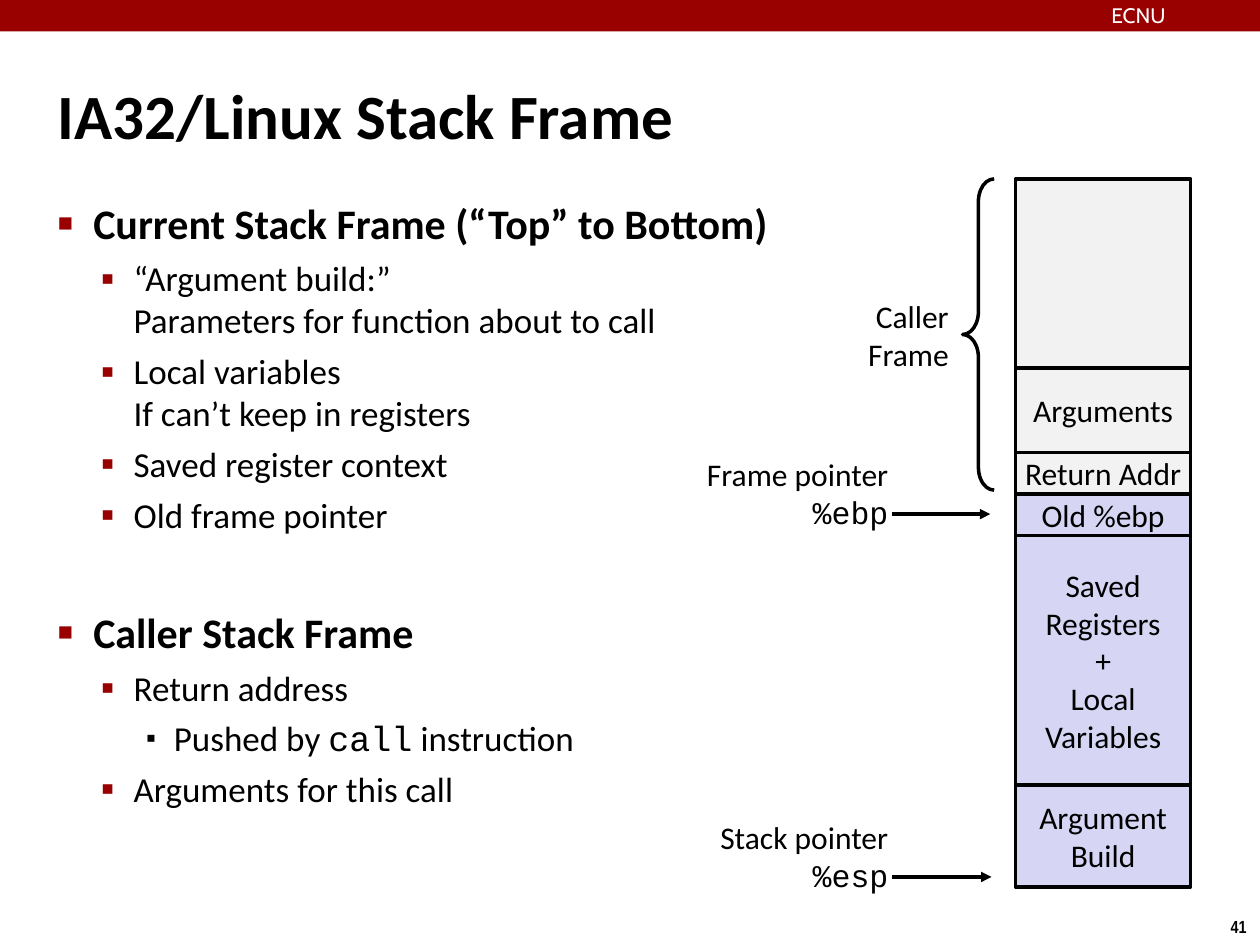
from lxml.etree import SubElement
from pptx import Presentation
from pptx.dml.color import RGBColor
from pptx.enum.shapes import MSO_CONNECTOR, MSO_SHAPE
from pptx.enum.text import MSO_ANCHOR, PP_ALIGN
from pptx.oxml.ns import qn
from pptx.util import Inches, Pt

COLORS = {"red": "990000", "black": "000000", "white": "FFFFFF",
          "gray": "F2F2F2", "lilac": "D6D6F4"}
SANS, MONO = "Calibri", "Courier New"

# Per level: left indent, hanging, bullet, its colour and size %, text size, space before
LEVELS = [(0.28, 0.28, "■", "red", 60, 24, 6),
          (0.6, 0.26, "▪", "red", 110, 20, 5),
          (0.92, 0.22, "▪", "black", 80, 20, 5)]
OUTLINE = [
    (0, "Current Stack Frame (“Top” to Bottom)"),
    (1, "“Argument build:”\nParameters for function about to call"),
    (1, "Local variables\nIf can’t keep in registers"),
    (1, "Saved register context"),
    (1, "Old frame pointer"),
    (0, "Caller Stack Frame"),
    (1, "Return address"),
    (2, "Pushed by `call` instruction"),
    (1, "Arguments for this call"),
]
GROUP_GAP = 41
STACK = [("", 1.5, "gray"), ("Arguments", 0.67, "gray"),
         ("Return Addr", 0.33, "gray"), ("Old %ebp", 0.33, "lilac"),
         ("Saved\nRegisters\n+\nLocal\nVariables", 1.98, "lilac"),
         ("Argument\nBuild", 0.81, "lilac")]


def color(name):
    return RGBColor.from_string(COLORS[name])


def style(para, size, name="black", font=SANS, bold=False):
    for run in para.runs:
        run.font.size, run.font.bold = Pt(size), bold
        run.font.name, run.font.color.rgb = font, color(name)


def setup(frame, inset=0.04, anchor=MSO_ANCHOR.TOP):
    frame.word_wrap = True
    frame.vertical_anchor = anchor
    frame.margin_left = frame.margin_right = Inches(inset)
    frame.margin_top = frame.margin_bottom = Inches(inset)


def add_text(slide, box, text, size=18, align=PP_ALIGN.LEFT, inset=0.04, **look):
    frame = slide.shapes.add_textbox(*map(Inches, box)).text_frame
    setup(frame, inset)
    frame.text = text
    for para in frame.paragraphs:
        para.alignment = align
        style(para, size, **look)
    return frame


def add_form(slide, kind, box, fill=None, line=None):
    form = slide.shapes.add_shape(kind, *map(Inches, box))
    form.shadow.inherit = False
    if fill:
        form.fill.solid()
        form.fill.fore_color.rgb = color(fill)
    else:
        form.fill.background()
    if line:
        form.line.color.rgb = color(line)
        form.line.width = Pt(2)
    else:
        form.line.fill.background()
    return form


def add_arrow(slide, left, top, width):
    arrow = slide.shapes.add_connector(
        MSO_CONNECTOR.STRAIGHT, Inches(left), Inches(top),
        Inches(left + width), Inches(top))
    arrow.line.color.rgb = color("black")
    arrow.line.width = Pt(2)
    SubElement(arrow.line._get_or_add_ln(), qn("a:tailEnd"), type="triangle")
    SubElement(arrow._element.spPr, qn("a:effectLst"))


def add_bullet(para, level):
    left, hang, char, name, scale, _, _ = LEVELS[level]
    props = para._p.get_or_add_pPr()
    props.set("marL", str(Inches(left)))
    props.set("indent", str(-Inches(hang)))
    tint = SubElement(props, qn("a:buClr"))
    SubElement(tint, qn("a:srgbClr"), val=COLORS[name])
    SubElement(props, qn("a:buSzPct"), val=str(scale * 1000))
    SubElement(props, qn("a:buFont"), typeface="Arial")
    SubElement(props, qn("a:buChar"), char=char)


def add_header(slide, box):
    left, top, width, height = box
    add_form(slide, MSO_SHAPE.RECTANGLE, box, "red")
    add_text(slide, (left + 8.82, top + 0.02, 1.1, height - 0.06), "ECNU", 12,
             inset=0, name="white", font="Cabin")


def add_title(slide, box, text):
    title = slide.shapes.title
    title.left, title.top, title.width, title.height = map(Inches, box)
    setup(title.text_frame, anchor=MSO_ANCHOR.MIDDLE)
    title.text_frame.text = text
    para = title.text_frame.paragraphs[0]
    para.alignment = PP_ALIGN.LEFT
    style(para, 36, bold=True)


def add_outline(slide, box):
    """Bulleted list; text between backticks is set in the code font."""
    frame = add_text(slide, box, "")
    for i, (level, text) in enumerate(OUTLINE):
        para = frame.add_paragraph() if i else frame.paragraphs[0]
        add_bullet(para, level)
        para.level = level
        size, space = LEVELS[level][5:]
        if i:
            para.space_before = Pt(space if level else GROUP_GAP)
        para.text = text.replace("`", "")
        if "`" in text:
            para.text = ""
            for part in text.split("`"):
                para.add_run().text = part
        style(para, size, bold=level == 0)
        if "`" in text:
            for run in para.runs[1::2]:
                run.font.name = MONO


def add_stack(slide, box):
    left, top, width, _ = box
    for text, height, fill in STACK:
        cell = add_form(slide, MSO_SHAPE.RECTANGLE, (left, top, width, height),
                        fill, "black")
        setup(cell.text_frame, 0, MSO_ANCHOR.MIDDLE)
        if text:
            cell.text_frame.text = text
        for para in cell.text_frame.paragraphs:
            para.alignment = PP_ALIGN.CENTER
            style(para, 18)
        top += height


def add_caller(slide, box):
    left, top, width, height = box
    add_text(slide, (left, top + 0.9, 0.95, 0.69), "Caller\nFrame",
             align=PP_ALIGN.RIGHT)
    brace = add_form(slide, MSO_SHAPE.LEFT_BRACE,
                     (left + width - 0.25, top, 0.25, height), line="black")
    brace.adjustments[0] = 0.72


def add_pointer(slide, box, text):
    left, top, width, height = box
    frame = add_text(slide, (left, top, 1.7, height), text,
                     align=PP_ALIGN.RIGHT)
    style(frame.paragraphs[1], 18, font=MONO)
    add_arrow(slide, left + 1.69, top + 0.51, width - 1.69)


def main():
    deck = Presentation()
    deck.slide_width, deck.slide_height = Inches(10), Inches(7.5)
    slide = deck.slides.add_slide(deck.slide_layouts[5])
    add_header(slide, (0, 0, 10, 0.25))
    add_title(slide, (0.42, 0.28, 9.17, 1.25), "IA32/Linux Stack Frame")
    add_outline(slide, (0.42, 1.53, 5.88, 5.94))
    add_stack(slide, (8.06, 1.42, 1.39, 5.62))
    add_caller(slide, (6.62, 1.42, 1.27, 2.47))
    add_pointer(slide, (5.39, 3.57, 2.47, 0.67), "Frame pointer\n%ebp")
    add_pointer(slide, (5.39, 6.45, 2.48, 0.67), "Stack pointer\n%esp")
    add_text(slide, (9.66, 7.23, 0.34, 0.27), "41", 10, PP_ALIGN.CENTER,
             font="Arial Narrow", bold=True)
    deck.save("out.pptx")


if __name__ == "__main__":
    main()
